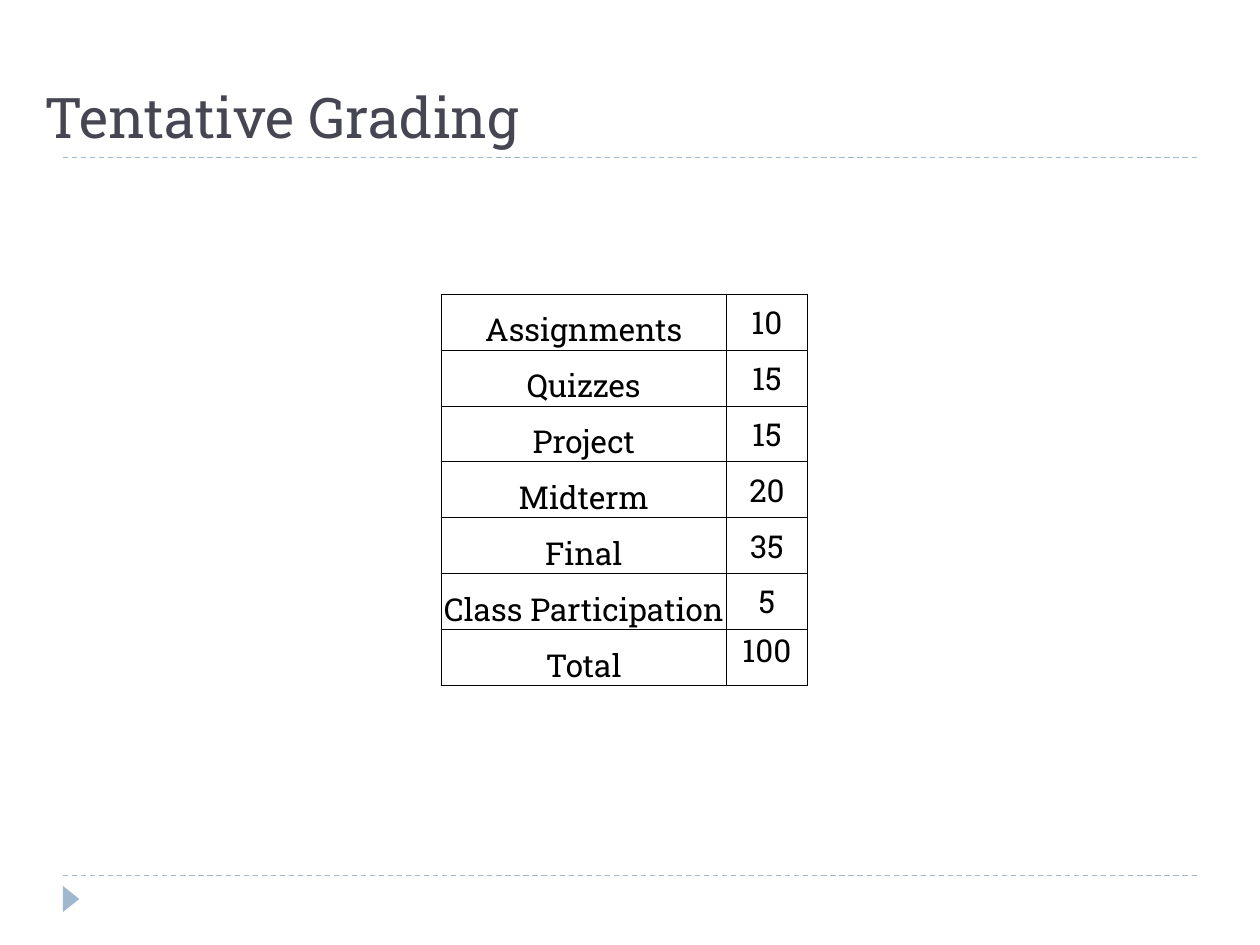
import dataclasses

import lxml.etree
import pptx
import pptx.dml.color
import pptx.enum.dml
import pptx.enum.shapes
import pptx.enum.text
import pptx.oxml.ns
import pptx.slide
import pptx.util

Pt = pptx.util.Pt
RGB = pptx.dml.color.RGBColor
Anchor = pptx.enum.text.MSO_ANCHOR
Align = pptx.enum.text.PP_ALIGN


@dataclasses.dataclass(frozen=True)
class Theme:
    face: str = "Roboto Slab"
    title_color: RGB = RGB(0x46, 0x46, 0x53)
    text_color: RGB = RGB(0, 0, 0)
    accent: RGB = RGB(0x9F, 0xB8, 0xCD)
    title_size: float = 32
    table_size: float = 18
    rule_width: float = 0.75
    border_width: float = 0.5


@dataclasses.dataclass(frozen=True)
class Grade:
    component: str
    weight: int
    weight_anchor: Anchor = Anchor.MIDDLE


THEME = Theme()
GRADES = [
    Grade("Assignments", 10),
    Grade("Quizzes", 15),
    Grade("Project", 15),
    Grade("Midterm", 20),
    Grade("Final", 35),
    Grade("Class Participation", 5),
    Grade("Total", 100, Anchor.TOP),
]
COLUMN_WIDTHS = (163.2, 46.1)
ROW_HEIGHT = 32
RULE_TOPS = (500.4, 90)


def apply_format(target: object, values: dict) -> None:
    for name, value in values.items():
        setattr(target, name, value)


def set_font(paragraph, size: float, color: RGB) -> None:
    apply_format(paragraph.font, {"name": THEME.face, "size": Pt(size), "bold": False})
    paragraph.font.color.rgb = color


def add_rule(slide: pptx.slide.Slide, top: float) -> None:
    rule = slide.shapes.add_connector(
        pptx.enum.shapes.MSO_CONNECTOR.STRAIGHT, Pt(36), Pt(top), Pt(684), Pt(top))
    apply_format(rule.line, {"width": Pt(THEME.rule_width),
                             "dash_style": pptx.enum.dml.MSO_LINE.DASH})
    rule.line.color.rgb = THEME.accent
    lxml.etree.SubElement(rule._element.spPr, pptx.oxml.ns.qn("a:effectLst"))


def add_marker(slide: pptx.slide.Slide) -> None:
    marker = slide.shapes.add_shape(
        pptx.enum.shapes.MSO_SHAPE.ISOSCELES_TRIANGLE,
        Pt(33.1), Pt(509), Pt(15), Pt(9.4))
    marker.rotation = 90
    marker.shadow.inherit = False
    marker.fill.solid()
    marker.fill.fore_color.rgb = THEME.accent
    marker.line.fill.background()


def add_borders(cell) -> None:
    properties = cell._tc.get_or_add_tcPr()
    qn = pptx.oxml.ns.qn
    for position, side in enumerate(("lnL", "lnR", "lnT", "lnB")):
        border = lxml.etree.Element(qn(f"a:{side}"), w=str(Pt(THEME.border_width)))
        solid = lxml.etree.SubElement(border, qn("a:solidFill"))
        lxml.etree.SubElement(solid, qn("a:srgbClr"), val=str(THEME.text_color))
        properties.insert(position, border)


def fill_cell(cell, text: str, anchor: Anchor) -> None:
    margins = dict.fromkeys(
        ("margin_left", "margin_right", "margin_top", "margin_bottom"), Pt(0))
    apply_format(cell, {"text": text, "vertical_anchor": anchor, **margins})
    paragraph = cell.text_frame.paragraphs[0]
    paragraph.alignment = Align.CENTER
    set_font(paragraph, THEME.table_size, THEME.text_color)
    cell.fill.background()
    add_borders(cell)


def add_grades(slide: pptx.slide.Slide, grades: list[Grade]) -> None:
    table = slide.shapes.add_table(
        len(grades), len(COLUMN_WIDTHS), Pt(252), Pt(168),
        Pt(sum(COLUMN_WIDTHS)), Pt(ROW_HEIGHT * len(grades))).table
    apply_format(table, {"first_row": False, "horz_banding": False})
    for column, width in zip(table.columns, COLUMN_WIDTHS):
        column.width = Pt(width)
    for row, grade in zip(table.rows, grades):
        row.height = Pt(ROW_HEIGHT)
        fill_cell(row.cells[0], grade.component, Anchor.BOTTOM)
        fill_cell(row.cells[1], str(grade.weight), grade.weight_anchor)


def set_title(slide: pptx.slide.Slide, text: str) -> None:
    title = slide.shapes.title
    apply_format(title, {"left": Pt(21.6), "top": Pt(23), "width": Pt(720),
                         "height": Pt(66.2)})
    frame = title.text_frame
    apply_format(frame, {
        "text": text, "word_wrap": True, "vertical_anchor": Anchor.BOTTOM,
        "auto_size": pptx.enum.text.MSO_AUTO_SIZE.NONE,
        "margin_left": Pt(3.6), "margin_right": Pt(3.6),
        "margin_top": Pt(3.6), "margin_bottom": Pt(3.6)})
    frame.paragraphs[0].alignment = Align.LEFT
    set_font(frame.paragraphs[0], THEME.title_size, THEME.title_color)


def main() -> None:
    deck = pptx.Presentation()
    apply_format(deck, {"slide_width": Pt(720), "slide_height": Pt(540)})
    slide = deck.slides.add_slide(deck.slide_layouts.get_by_name("Title Only"))

    # Rules and footer marker
    for top in RULE_TOPS:
        add_rule(slide, top)
    add_marker(slide)

    # Grading table and heading
    add_grades(slide, GRADES)
    set_title(slide, "Tentative Grading")

    deck.save("out.pptx")


if __name__ == "__main__":
    main()
